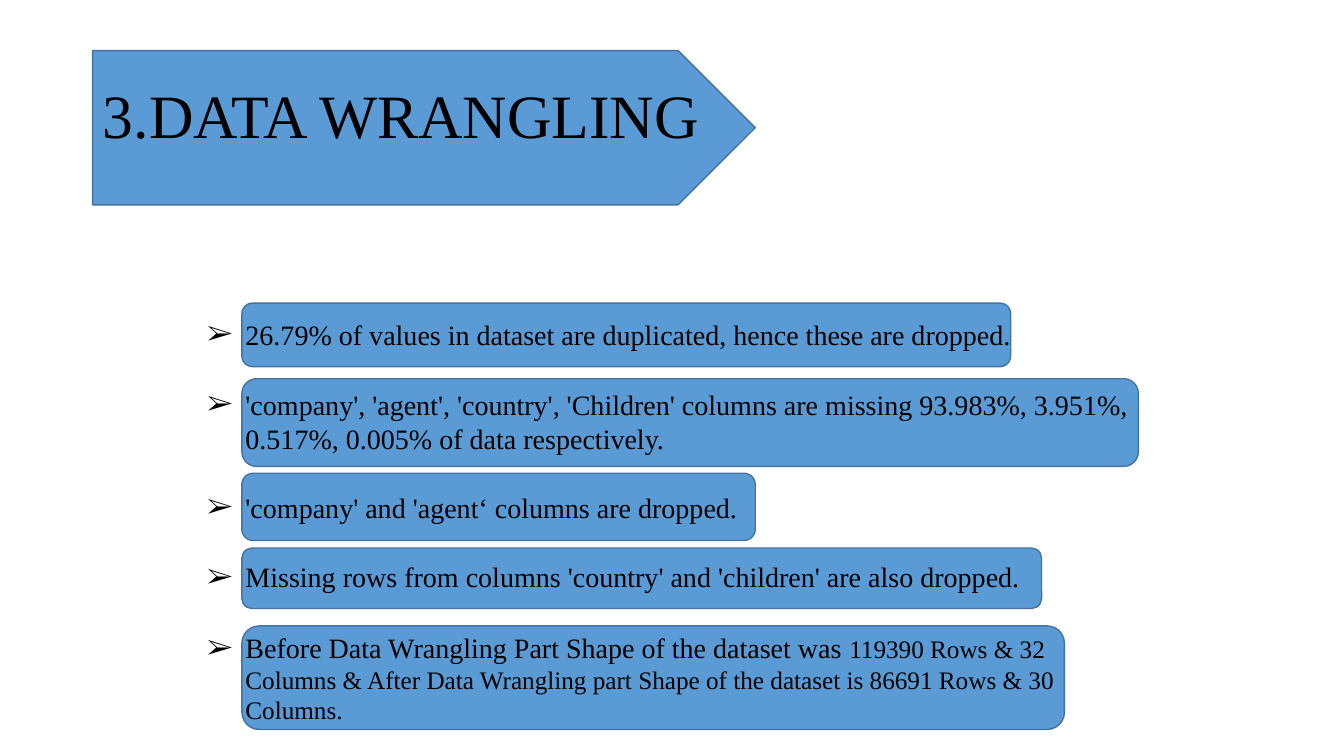
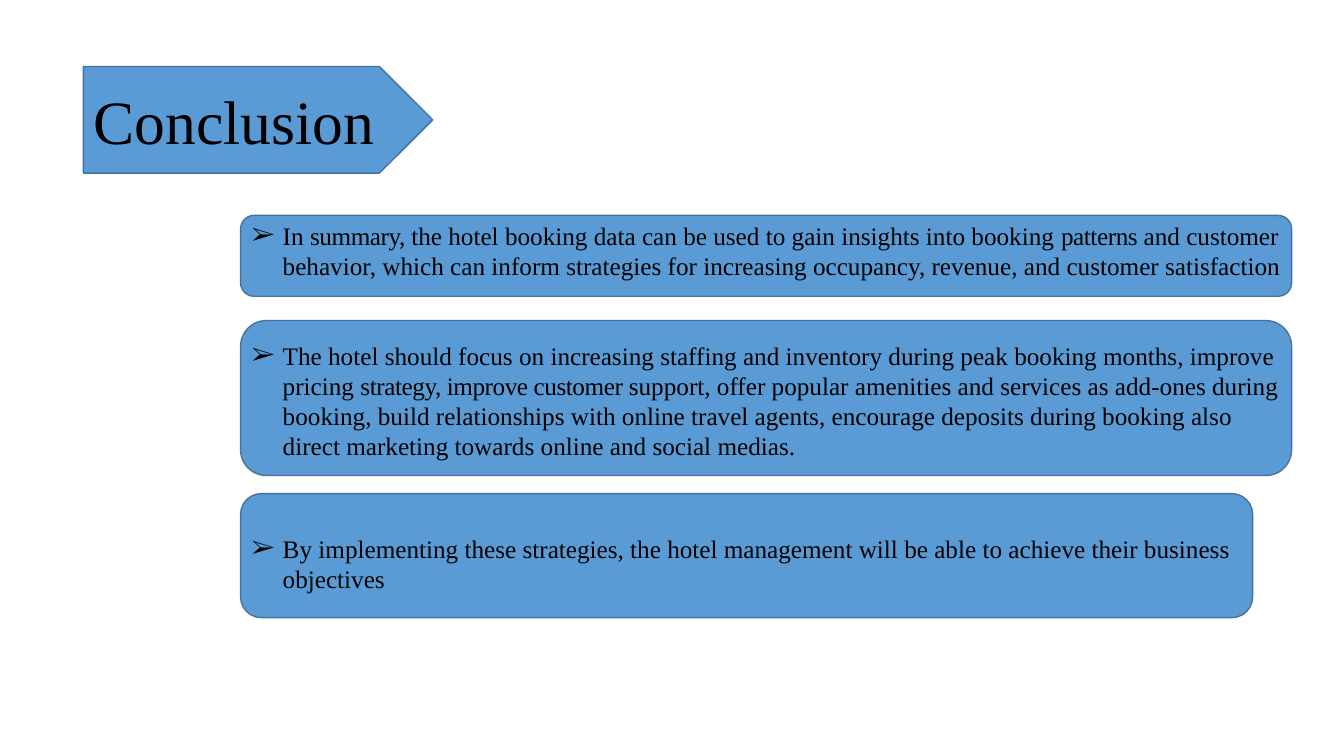
from dataclasses import dataclass
from itertools import cycle

from lxml.etree import SubElement
from pptx import Presentation
from pptx.dml.color import RGBColor as RGB
from pptx.enum.shapes import MSO_SHAPE as SHAPE
from pptx.enum.text import MSO_ANCHOR as ANCHOR, PP_ALIGN as ALIGN
from pptx.oxml.ns import qn
from pptx.util import Inches, Pt

W, H = 13.33, 7.5
TITLE_ONLY = 5


@dataclass(frozen=True)
class Theme:
    fill: RGB = RGB(0x5B, 0x9B, 0xD5)
    line: RGB = RGB(0x43, 0x73, 0x9E)
    ink: RGB = RGB(0, 0, 0)
    font: str = "Times New Roman"
    bullet: str = "➢"
    title: int = 44
    large: int = 20
    small: int = 18
    tight: int = -30


T = Theme()

SLIDES = [
    dict(
        title="3.DATA WRANGLING", arrow=(6.9, 6.7, 49.3, 20.4), rise=1.9,
        origin=(18, 40.1), outdent=3.4, text_width=70.7, indent=0.38,
        styles=(dict(size=T.large), dict(size=T.small)),
        cards=[
            (0, 57.2, 8.4, 1.2,
             "26.79% of values in dataset are duplicated, hence these are dropped."),
            (10, 66.7, 11.6, 0.5,
             "'company', 'agent', 'country', 'Children' columns are missing "
             "93.983%, 3.951%, 0.517%, 0.005% of data respectively."),
            (22.5, 38.2, 8.9, 1.6, "'company' and 'agent‘ columns are dropped."),
            (32.4, 59.5, 8, 0.9,
             "Missing rows from columns 'country' and 'children' are also dropped."),
            (42.7, 61.2, 13.7, 0,
             "Before Data Wrangling Part Shape of the dataset was |119390 Rows & 32 "
             "Columns & After Data Wrangling part Shape of the dataset is 86691 Rows "
             "& 30 Columns."),
        ],
    ),
    dict(
        title="Conclusion", arrow=(6.2, 8.8, 26, 14.1), rise=0,
        origin=(17.9, 28.5), outdent=0, text_width=78.7, indent=0.31,
        styles=(dict(size=T.small), dict(size=T.small, spacing=T.tight)),
        cards=[
            (0, 78.2, 10.7, 0,
             "In |summary, |the hotel booking data can be used to gain insights into "
             "booking |patterns |and customer behavior, which can inform strategies "
             "for increasing occupancy, revenue, and customer satisfaction"),
            (13.9, 78.2, 20.5, 1.9,
             "The hotel should focus on increasing staffing and inventory during peak "
             "booking months, improve pricing |strategy, improve customer |support, "
             "offer popular amenities and services as add-ones during booking, build "
             "relationships with online travel agents, encourage deposits during "
             "booking also direct marketing towards online and social medias."),
            (36.8, 75.3, 16.4, 4.6,
             "By implementing these strategies, the hotel management will be able to "
             "achieve their business objectives"),
        ],
    ),
]


def grid(x, y, w, h):
    return [Inches(v * side / 100) for v, side in zip((x, y, w, h), (W, H, W, H))]


def apply(obj, **formats):
    for name, value in formats.items():
        setattr(obj, name, value)


def add_run(p, text, size, spacing=0):
    r = p.add_run()
    r.text = text
    apply(r.font, name=T.font, size=Pt(size))
    r.font.color.rgb = T.ink
    if spacing:
        r.font._element.set("spc", str(spacing))


def add_panel(s, kind, box):
    sp = s.shapes.add_shape(kind, *grid(*box))
    sp.shadow.inherit = False
    sp.fill.solid()
    sp.fill.fore_color.rgb = T.fill
    sp.line.color.rgb = T.line
    sp.line.width = Pt(1)


def add_heading(s, text, box, rise):
    add_panel(s, SHAPE.PENTAGON, box)
    x, y, w, h = box
    sp = s.shapes.title
    s.shapes.element.append(sp.element)
    apply(sp, **dict(zip(("left", "top", "width", "height"),
                         grid(x, y - rise, 86.3, h))))
    tf = sp.text_frame
    apply(tf, vertical_anchor=ANCHOR.MIDDLE, word_wrap=True)
    p = tf.paragraphs[0]
    apply(p, alignment=ALIGN.LEFT, line_spacing=1.0)
    add_run(p, text, T.title)


def add_bullet(p, indent):
    pr = p._p.get_or_add_pPr()
    pr.set("marL", str(Inches(indent + 0.01)))
    pr.set("indent", str(-Inches(indent)))
    SubElement(pr, qn("a:buFont")).set("typeface", T.font)
    SubElement(pr, qn("a:buChar")).set("char", T.bullet)


def add_cards(s, spec_):
    x, top = spec_["origin"]
    for dy, w, h, drop, text in spec_["cards"]:
        y = top + dy
        add_panel(s, SHAPE.ROUNDED_RECTANGLE, (x, y, w, h))
        sp = s.shapes.add_textbox(
            *grid(x - spec_["outdent"], y + drop, spec_["text_width"], h - drop))
        tf = sp.text_frame
        tf.word_wrap = True
        p = tf.paragraphs[0]
        add_bullet(p, spec_["indent"])
        for part, style in zip(text.split("|"), cycle(spec_["styles"])):
            add_run(p, part, **style)


def main():
    prs = Presentation()
    apply(prs, slide_width=Inches(W), slide_height=Inches(H))
    for content in SLIDES:
        s = prs.slides.add_slide(prs.slide_layouts[TITLE_ONLY])
        add_heading(s, content["title"], content["arrow"], content["rise"])
        add_cards(s, content)
    prs.save("out.pptx")


if __name__ == "__main__":
    main()
